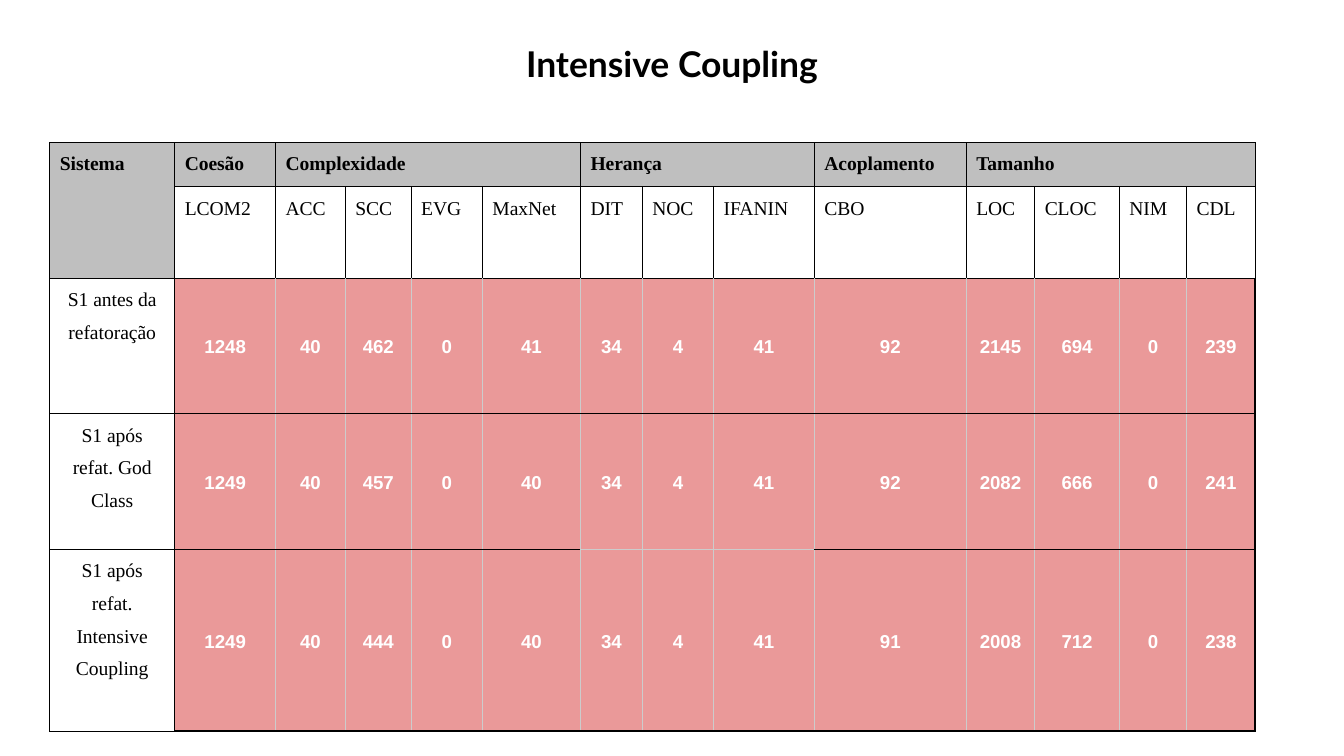
"""Build a slide with the metrics table for the Intensive Coupling refactoring."""
from lxml import etree
from pptx import Presentation
from pptx.dml.color import RGBColor
from pptx.enum.text import MSO_ANCHOR, PP_ALIGN
from pptx.oxml.ns import qn
from pptx.util import Inches, Pt

TOP, MIDDLE = MSO_ANCHOR.TOP, MSO_ANCHOR.MIDDLE
CENTER, JUSTIFY = PP_ALIGN.CENTER, PP_ALIGN.JUSTIFY
BLACK, WHITE, GREY, SILVER, PINK = "000000", "FFFFFF", "BFBFBF", "CCCCCC", "EA9999"

TITLE = "Intensive Coupling"
GROUPS = [
    ("Coesão", ["LCOM2"]),
    ("Complexidade", ["ACC", "SCC", "EVG", "MaxNet"]),
    ("Herança", ["DIT", "NOC", "IFANIN"]),
    ("Acoplamento", ["CBO"]),
    ("Tamanho", ["LOC", "CLOC", "NIM", "CDL"]),
]
SYSTEMS = [
    ("S1 antes da refatoração", [1248, 40, 462, 0, 41, 34, 4, 41, 92, 2145, 694, 0, 239]),
    ("S1 após refat. God Class", [1249, 40, 457, 0, 40, 34, 4, 41, 92, 2082, 666, 0, 241]),
    ("S1 após refat. Intensive Coupling", [1249, 40, 444, 0, 40, 34, 4, 41, 91, 2008, 712, 0, 238]),
]
WIDTHS = [0.93, 0.75, 0.52, 0.49, 0.53, 0.73, 0.46, 0.53, 0.75, 1.13, 0.51, 0.63, 0.5, 0.51]
HEIGHTS = [0.33, 0.68, 1.01, 1.01, 1.35]
INHERITANCE_COLUMNS = range(6, 9)

SERIF = {"name": "Times New Roman", "size": Pt(10.5), "bold": False}
SERIF_BOLD = {**SERIF, "bold": True}
SANS_BOLD = {"name": "Arial", "size": Pt(10), "bold": True}
TITLE_FONT = {"name": "Lato", "size": Pt(19), "bold": True}
LABEL_MARGINS = {"margin_left": Pt(5.4), "margin_right": Pt(5.4),
                 "margin_top": 0, "margin_bottom": 0, "vertical_anchor": TOP}
VALUE_MARGINS = {"margin_left": Inches(0.03), "margin_right": Inches(0.03),
                 "margin_top": Inches(0.03), "margin_bottom": Inches(0.03),
                 "vertical_anchor": MIDDLE}
THIN, MEDIUM = (BLACK, 0.5), (BLACK, 0.75)
PALE = (SILVER, 0.75)


def set_attributes(target, values):
    for name, value in values.items():
        setattr(target, name, value)


def rgb(color):
    return RGBColor.from_string(color)


def write(frame, text, font, color, alignment, spacing):
    para = frame.paragraphs[0]
    para.alignment, para.line_spacing = alignment, spacing
    span = para.add_run()
    span.text = text
    set_attributes(span.font, font)
    span.font.color.rgb = rgb(color)


def dress(cell, borders, fill=None):
    properties = cell._tc.get_or_add_tcPr()
    for side, (color, width) in zip("LRTB", borders):
        line = etree.SubElement(properties, qn("a:ln" + side), w=str(Pt(width)))
        solid = etree.SubElement(line, qn("a:solidFill"))
        etree.SubElement(solid, qn("a:srgbClr"), val=color)
    if fill:
        cell.fill.solid()
        cell.fill.fore_color.rgb = rgb(fill)
    else:
        cell.fill.background()


def write_label(cell, text, font=SERIF, alignment=JUSTIFY):
    set_attributes(cell, LABEL_MARGINS)
    write(cell.text_frame, text, font, BLACK, alignment, 1.5)


def fill_header(table):
    for column in range(len(WIDTHS)):
        dress(table.cell(0, column), [THIN] * 4, GREY)
    dress(table.cell(1, 0), [THIN] * 4, GREY)
    table.cell(0, 0).merge(table.cell(1, 0))
    write_label(table.cell(0, 0), "Sistema", SERIF_BOLD)
    column = 1
    for group, metrics in GROUPS:
        first, last = table.cell(0, column), table.cell(0, column + len(metrics) - 1)
        if len(metrics) > 1:
            first.merge(last)
        write_label(first, group, SERIF_BOLD)
        for metric in metrics:
            cell = table.cell(1, column)
            dress(cell, [THIN, THIN, THIN, MEDIUM])
            write_label(cell, metric)
            column += 1


def fill_systems(table):
    last_column, last_row = len(WIDTHS) - 1, len(HEIGHTS) - 1
    for row, (system, values) in enumerate(SYSTEMS, start=2):
        label = table.cell(row, 0)
        dress(label, [THIN, MEDIUM, THIN, THIN])
        write_label(label, system, alignment=CENTER)
        for column, value in enumerate(values, start=1):
            cell = table.cell(row, column)
            inherited = column in INHERITANCE_COLUMNS
            dress(cell, [
                MEDIUM if column == 1 else PALE,
                MEDIUM if column == last_column else PALE,
                PALE if inherited and row == last_row else MEDIUM,
                PALE if inherited and row == last_row - 1 else MEDIUM,
            ], PINK)
            set_attributes(cell, VALUE_MARGINS)
            write(cell.text_frame, str(value), SANS_BOLD, WHITE, CENTER, 1.15)


def main():
    deck = Presentation()
    deck.slide_width, deck.slide_height = Inches(10), Inches(10) * 9 // 16
    slide = deck.slides.add_slide(deck.slide_layouts[5])

    title = slide.shapes.title
    set_attributes(title, {"left": 0, "top": Inches(0.21),
                           "width": Inches(10), "height": Inches(0.52)})
    margins = dict.fromkeys(["margin_left", "margin_right", "margin_top", "margin_bottom"], Inches(0.1))
    set_attributes(title.text_frame, {**margins, "vertical_anchor": TOP, "word_wrap": True})
    write(title.text_frame, TITLE, TITLE_FONT, BLACK, CENTER, 1.0)

    table = slide.shapes.add_table(len(HEIGHTS), len(WIDTHS), Inches(0.37), Inches(1.06),
                                   Inches(sum(WIDTHS)), Inches(sum(HEIGHTS))).table
    set_attributes(table, {"first_row": False, "horz_banding": False})
    for column, width in zip(table.columns, WIDTHS):
        column.width = Inches(width)
    for row, height in zip(table.rows, HEIGHTS):
        row.height = Inches(height)
    fill_header(table)
    fill_systems(table)
    deck.save("out.pptx")


if __name__ == "__main__":
    main()
